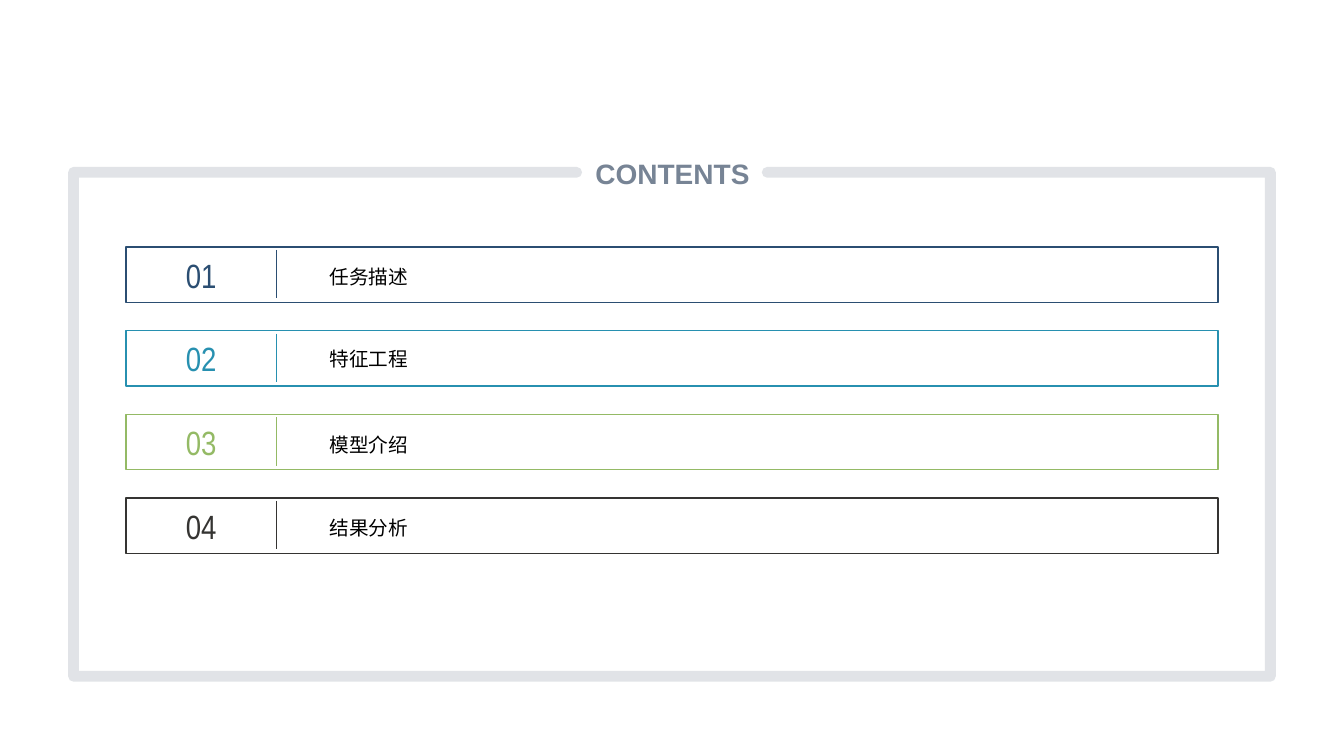
from dataclasses import dataclass

from lxml.etree import SubElement
from pptx import Presentation
from pptx.dml.color import RGBColor
from pptx.enum.shapes import MSO_CONNECTOR, MSO_SHAPE
from pptx.enum.text import MSO_ANCHOR, MSO_AUTO_SIZE, PP_ALIGN
from pptx.oxml.ns import qn
from pptx.util import Inches, Pt


@dataclass(frozen=True)
class Theme:
    font: str = "Arial"
    narrow: str = "Arial Narrow"
    slate: str = "778495"
    black: str = "000000"
    rows: tuple = ("2B4E72", "2790B0", "94BA65", "353432")
    title: int = 20
    number: int = 24
    label: int = 14
    thin: float = 1
    thick: float = 7.75
    alpha: int = 21


THEME = Theme()
ITEMS = (("任务描述", 1.2), ("特征工程", None), ("模型介绍", 1.2), ("结果分析", 1.2))
LEFT, TOP, WIDTH, HEIGHT, PITCH = 1.25, 2.45, 10.83, 0.55, 0.83
SPLIT, INDENT = 2.74, 3.17


def set_text(shape, text, size, color, font, align, bold=False):
    frame = shape.text_frame
    frame.text = text
    frame.vertical_anchor = MSO_ANCHOR.MIDDLE
    para = frame.paragraphs[0]
    para.alignment = align
    face = para.runs[0].font
    face.name, face.size, face.bold = font, Pt(size), bold
    face.color.rgb = RGBColor.from_string(color)
    return para


def set_line(shape, color, width):
    shape.line.color.rgb = RGBColor.from_string(color)
    shape.line.width = Pt(width)


def add_title(slide):
    title = slide.shapes.title
    title.left, title.top = Inches(5.81), Inches(1.38)
    title.width, title.height = Inches(1.72), Inches(0.67)
    set_text(title, "CONTENTS", THEME.title, THEME.slate, THEME.font,
             PP_ALIGN.CENTER, bold=True)
    frame = title.text_frame
    frame.auto_size = MSO_AUTO_SIZE.NONE
    frame.margin_left = frame.margin_right = 0
    frame.margin_top = frame.margin_bottom = 0


def add_frame(slide):
    """Draw the pale round-ended outline, open at the title."""
    points = [(12.6, 1.71), (12.6, 6.71), (0.73, 6.71), (0.73, 1.71), (5.72, 1.71)]
    pen = slide.shapes.build_freeform(Inches(7.61), Inches(1.71))
    pen.add_line_segments([(Inches(x), Inches(y)) for x, y in points], close=False)
    frame = pen.convert_to_shape()
    frame.shadow.inherit = False
    frame.fill.background()
    set_line(frame, THEME.slate, THEME.thick)
    line = frame.line._get_or_add_ln()
    line.set("cap", "rnd")
    SubElement(line, qn("a:round"))
    color = line.find(f".//{qn('a:srgbClr')}")
    SubElement(color, qn("a:alpha")).set("val", str(THEME.alpha * 1000))


def add_box(slide, top, color):
    box = slide.shapes.add_shape(MSO_SHAPE.RECTANGLE, Inches(LEFT), Inches(top),
                                 Inches(WIDTH), Inches(HEIGHT))
    box.shadow.inherit = False
    box.fill.background()
    set_line(box, color, THEME.thin)


def add_rule(slide, top, color):
    rule = slide.shapes.add_connector(MSO_CONNECTOR.STRAIGHT, Inches(SPLIT),
                                      Inches(top + 0.03), Inches(SPLIT),
                                      Inches(top + 0.51))
    set_line(rule, color, THEME.thin)
    SubElement(rule._element.spPr, qn("a:effectLst"))


def add_label(slide, left, top, width, text, size, color, font, align):
    label = slide.shapes.add_textbox(Inches(left), Inches(top),
                                     Inches(width), Inches(HEIGHT))
    label.text_frame.word_wrap = False
    return set_text(label, text, size, color, font, align)


def add_row(slide, index, text, spacing):
    top = TOP + index * PITCH
    color = THEME.rows[index]
    add_box(slide, top, color)
    add_label(slide, LEFT, top, SPLIT - LEFT, f"{index + 1:02}", THEME.number,
              color, THEME.narrow, PP_ALIGN.CENTER)
    add_rule(slide, top, color)
    para = add_label(slide, INDENT, top, LEFT + WIDTH - INDENT, text, THEME.label,
                     THEME.black, THEME.font, PP_ALIGN.LEFT)
    para.line_spacing = spacing


def main():
    deck = Presentation()
    deck.slide_width, deck.slide_height = Inches(13.33), Inches(7.5)
    slide = deck.slides.add_slide(deck.slide_layouts[5])
    add_title(slide)
    add_frame(slide)
    for index, (text, spacing) in enumerate(ITEMS):
        add_row(slide, index, text, spacing)
    deck.save("out.pptx")


if __name__ == "__main__":
    main()
